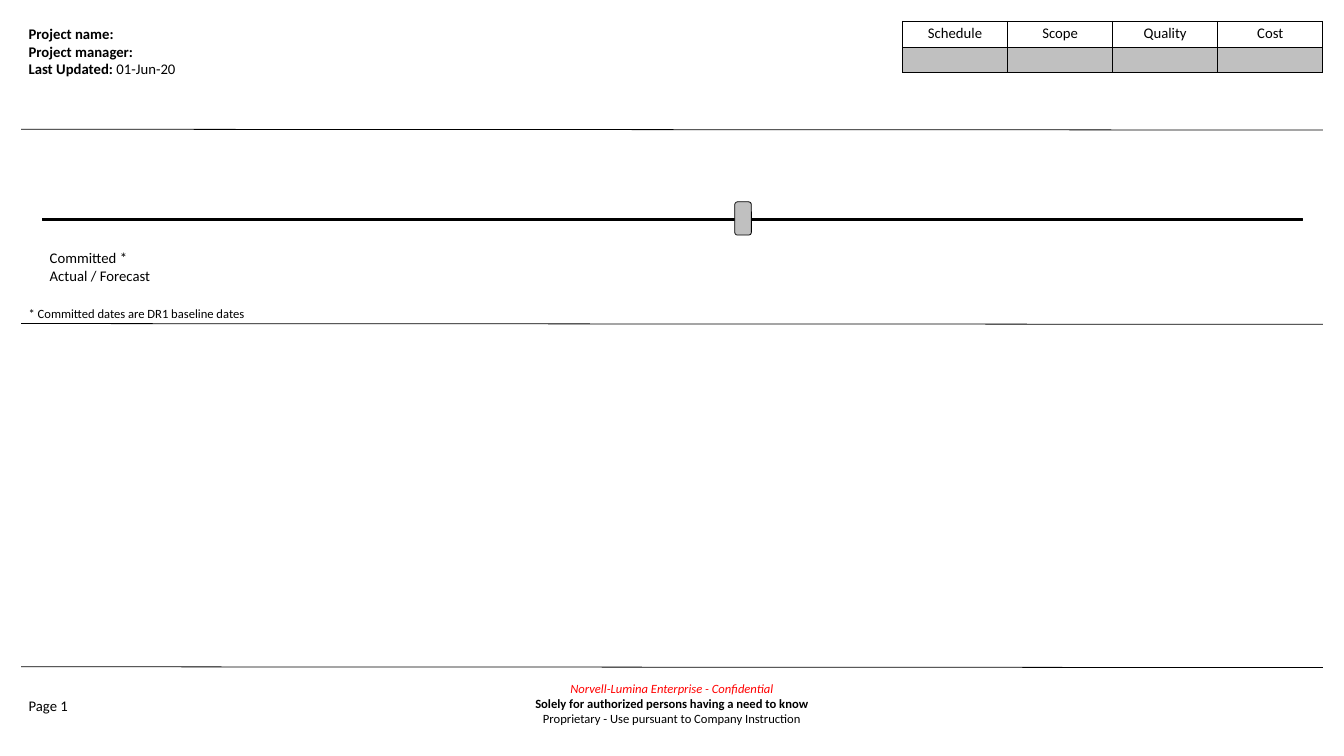
import pptx
import pptx.util
import pptx.dml.color
import pptx.enum.shapes
import pptx.enum.text
import pptx.oxml
import pptx.oxml.ns
from pptx.util import Inches

BLACK, GREY, RED = "000000", "C0C0C0", "FF0000"
LEFT, RIGHT = 0.28, 17.5
CENTER = pptx.enum.text.PP_ALIGN.CENTER


def color(value):
    return pptx.dml.color.RGBColor.from_string(value)


def style_run(run, size, bold=False, italic=False, ink=BLACK):
    run.font.name = "Calibri"
    run.font.size = pptx.util.Pt(size)
    run.font.bold = bold
    run.font.italic = italic
    run.font.color.rgb = color(ink)


def add_text(slide, box, lines, size, align=None):
    """Each line is a list of (text, style) pieces."""
    frame = slide.shapes.add_textbox(*map(Inches, box)).text_frame
    frame.word_wrap = True
    paragraph = frame.paragraphs[0]
    paragraph.alignment = align
    for number, pieces in enumerate(lines):
        if number:
            paragraph.add_line_break()
        for text, style in pieces:
            run = paragraph.add_run()
            run.text = text
            style_run(run, size, **style)


def add_rule(slide, y):
    rule = slide.shapes.add_connector(
        pptx.enum.shapes.MSO_CONNECTOR.STRAIGHT,
        Inches(LEFT), Inches(y), Inches(RIGHT), Inches(y + 0.01))
    rule.line.color.rgb = color(BLACK)
    rule.line.width = pptx.util.Pt(0.75)
    properties = rule._element.spPr
    properties.append(properties.makeelement(pptx.oxml.ns.qn("a:effectLst"), {}))


def add_block(slide, kind, box, fill):
    block = slide.shapes.add_shape(kind, *map(Inches, box))
    block.shadow.inherit = False
    block.fill.solid()
    block.fill.fore_color.rgb = color(fill)
    block.line.color.rgb = color(BLACK)
    block.line.width = pptx.util.Pt(0.75)


def add_borders(cell):
    properties = cell._tc.get_or_add_tcPr()
    for position, side in enumerate(("lnL", "lnR", "lnT", "lnB")):
        properties.insert(position, pptx.oxml.parse_xml(
            f'<a:{side} {pptx.oxml.ns.nsdecls("a")} w="9525"><a:solidFill>'
            f'<a:srgbClr val="{BLACK}"/></a:solidFill></a:{side}>'))


def add_status_table(slide, headings):
    column, row = 1.39, 0.34
    status = slide.shapes.add_table(
        2, len(headings), Inches(11.94), Inches(0.28),
        Inches(column * len(headings)), Inches(2 * row)).table
    status.first_row = status.horz_banding = False
    for table_row in status.rows:
        table_row.height = Inches(row)
    for index, heading in enumerate(headings):
        status.columns[index].width = Inches(column)
        label, light = status.cell(0, index), status.cell(1, index)
        label.text_frame.text = heading
        label.text_frame.paragraphs[0].alignment = CENTER
        style_run(label.text_frame.paragraphs[0].runs[0], 14)
        label.fill.background()
        light.margin_top = light.margin_bottom = 0
        light.fill.solid()
        light.fill.fore_color.rgb = color(GREY)
        add_borders(label)
        add_borders(light)


def main():
    deck = pptx.Presentation()
    deck.slide_width, deck.slide_height = Inches(17.78), Inches(10)
    slide = deck.slides.add_slide(deck.slide_layouts[6])
    plain, bold = {}, {"bold": True}

    # Section rules
    for y in (1.71, 4.28, 8.82):
        add_rule(slide, y)

    # Project header and status
    add_text(slide, (LEFT, 0.28, 6.94, 0.83), [
        [("Project name: ", bold)],
        [("Project manager: ", bold)],
        [("Last Updated: ", bold), ("01-Jun-20", plain)]], 14)
    add_status_table(slide, ("Schedule", "Scope", "Quality", "Cost"))

    # Timeline with today marker
    shapes = pptx.enum.shapes.MSO_SHAPE
    add_block(slide, shapes.RECTANGLE, (0.56, 2.89, 16.67, 0.03), BLACK)
    add_block(slide, shapes.ROUNDED_RECTANGLE, (9.72, 2.67, 0.22, 0.44), GREY)
    add_text(slide, (0.56, 3.24, 1.94, 0.49),
             [[("Committed *", plain)], [("Actual / Forecast", plain)]], 14)
    add_text(slide, (LEFT, 4, 3.47, 0.24),
             [[("* Committed dates are DR1 baseline dates", plain)]], 12)

    # Footer
    add_text(slide, (LEFT, 9.17, 1.11, 0.24), [[("Page 1", plain)]], 14)
    add_text(slide, (6.46, 8.96, 4.86, 0.69), [
        [("Norvell-Lumina Enterprise - Confidential", {"italic": True, "ink": RED})],
        [("Solely for authorized persons having a need to know", bold)],
        [("Proprietary - Use pursuant to Company Instruction", plain)]], 12, CENTER)

    deck.save("out.pptx")


main()
